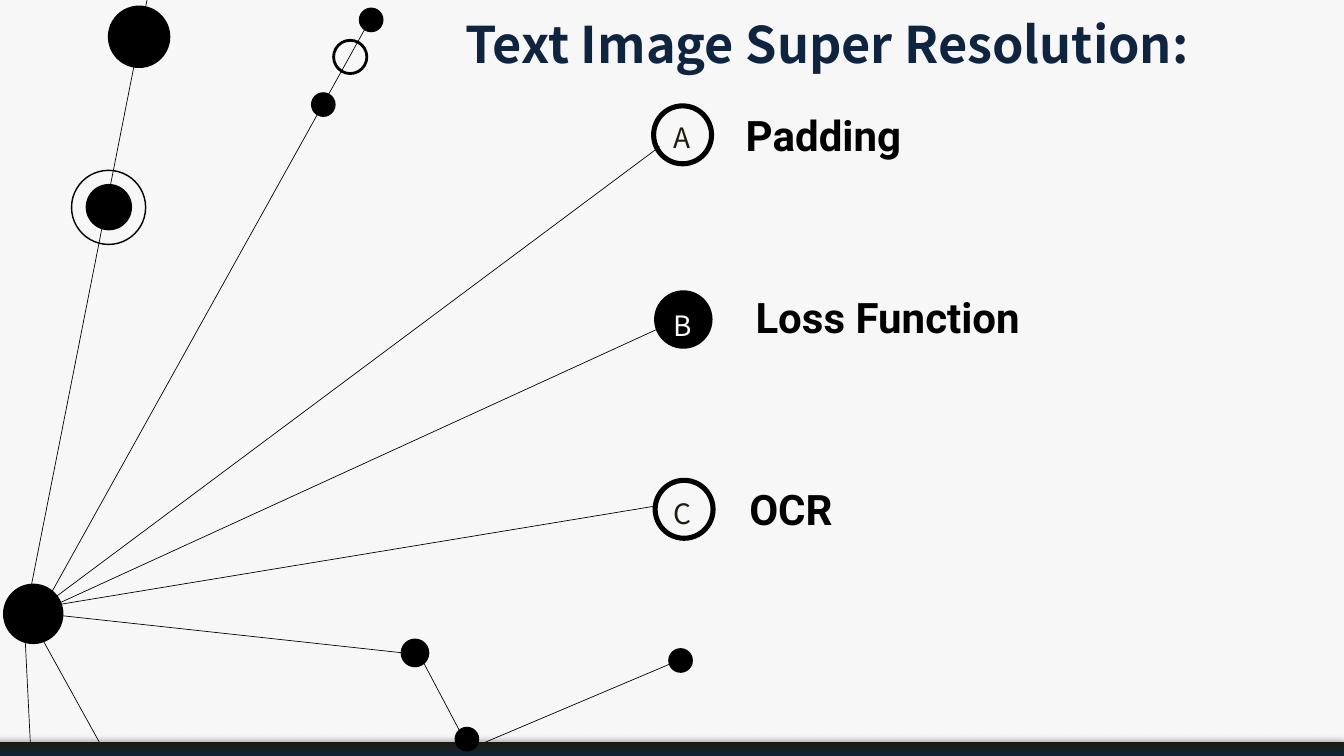
from dataclasses import dataclass
from typing import Optional

from lxml.etree import SubElement
from pptx import Presentation
from pptx.dml.color import RGBColor
from pptx.enum.shapes import MSO_CONNECTOR, MSO_SHAPE
from pptx.enum.text import MSO_ANCHOR, MSO_AUTO_SIZE, PP_ALIGN
from pptx.oxml import parse_xml
from pptx.oxml.ns import nsdecls, qn
from pptx.util import Pt

EMU_PER_PX = 9144


@dataclass(frozen=True)
class Theme:
    paper: str = "F7F7F7"
    ink: str = "000000"
    navy: str = "0F253F"
    charcoal: str = "1E1C11"
    white: str = "FFFFFF"
    title_font: str = "Noto Sans CJK SC"
    label_font: str = "Roboto"
    title_size: int = 72
    label_size: int = 60
    letter_size: int = 40
    thread: float = 1
    marker_ring: float = 7.25


@dataclass(frozen=True)
class Node:
    left: int
    top: int
    size: int
    ring: Optional[float] = None


@dataclass(frozen=True)
class Thread:
    x1: int
    y1: int
    x2: int
    y2: int


@dataclass(frozen=True)
class Topic:
    letter: str
    label: str
    marker: Node
    letter_left: int
    letter_top: int
    label_left: int
    label_top: int
    label_width: int


THEME = Theme()

THREADS = [
    Thread(842, 1300, 53, 1214),
    Thread(1309, 291, 111, 1184),
    Thread(1307, 652, 49, 1228),
    Thread(1301, 1004, 120, 1199),
    Thread(305, -67, 55, 1198),
    Thread(745, 20, 67, 1239),
    Thread(820, 1276, 986, 1590),
    Thread(955, 1476, 1333, 1316),
    Thread(50, 1269, 61, 1490),
    Thread(79, 1259, 298, 1655),
]

NODES = [
    Node(6, 1158, 120),
    Node(795, 1267, 57),
    Node(712, 15, 49),
    Node(662, 80, 66, 4),
    Node(617, 183, 49),
    Node(170, 365, 92),
    Node(142, 338, 147, 2),
    Node(214, 11, 124),
    Node(902, 1442, 49),
    Node(1326, 1286, 49),
]

TOPICS = [
    Topic("A", "Padding", Node(1297, 210, 115, THEME.marker_ring),
          1321, 217, 1464, 212, 340),
    Topic("B", "Loss Function", Node(1298, 576, 116),
          1323, 590, 1471, 574, 581),
    Topic("C", "OCR", Node(1300, 953, 115, THEME.marker_ring),
          1321, 964, 1471, 955, 197),
]


def px(length: int) -> int:
    return length * EMU_PER_PX


def rgb(color: str) -> RGBColor:
    return RGBColor.from_string(color)


def apply(target, values: dict) -> None:
    for name, value in values.items():
        setattr(target, name, value)


def draw_thread(page, thread: Thread) -> None:
    line = page.shapes.add_connector(
        MSO_CONNECTOR.STRAIGHT,
        px(thread.x1), px(thread.y1), px(thread.x2), px(thread.y2))
    line.line.color.rgb = rgb(THEME.ink)
    line.line.width = Pt(THEME.thread)
    SubElement(line._element.spPr, qn("a:effectLst"))


def draw_node(page, node: Node) -> None:
    circle = page.shapes.add_shape(
        MSO_SHAPE.OVAL, px(node.left), px(node.top), px(node.size), px(node.size))
    circle.shadow.inherit = False
    if node.ring:
        circle.fill.background()
        circle.line.color.rgb = rgb(THEME.ink)
        circle.line.width = Pt(node.ring)
    else:
        circle.fill.solid()
        circle.fill.fore_color.rgb = rgb(THEME.ink)
        circle.line.fill.background()


def draw_footer_bar(page) -> None:
    bar = page.shapes.add_shape(
        MSO_SHAPE.RECTANGLE, px(-15), px(1473), px(2682), px(31))
    bar.line.fill.background()
    bar.fill.gradient()
    bar.fill.gradient_angle = 270
    for stop, color in zip(bar.fill.gradient_stops, (THEME.charcoal, THEME.navy)):
        stop.color.rgb = rgb(color)
    bar._element.spPr.append(parse_xml(
        f'<a:effectLst {nsdecls("a")}>'
        f'<a:outerShdw blurRad="{Pt(13)}" dist="{Pt(2)}" dir="5400000" rotWithShape="0">'
        f'<a:srgbClr val="{THEME.ink}"><a:alpha val="75000"/></a:srgbClr>'
        '</a:outerShdw></a:effectLst>'))


def write(box, text: str, frame_values: dict, para_values: dict,
          font_values: dict, color: str) -> None:
    frame = box.text_frame
    margins = dict.fromkeys(
        ("margin_left", "margin_top", "margin_right", "margin_bottom"), px(5))
    apply(frame, {"auto_size": MSO_AUTO_SIZE.SHAPE_TO_FIT_TEXT,
                  "vertical_anchor": MSO_ANCHOR.MIDDLE, **margins, **frame_values})
    para = frame.paragraphs[0]
    apply(para, para_values)
    span = para.add_run()
    span.text = text
    apply(span.font, font_values)
    span.font.color.rgb = rgb(color)


def draw_title(page, text: str) -> None:
    title = page.shapes.title
    apply(title, {"left": px(919), "top": px(-30),
                  "width": px(1502), "height": px(171)})
    write(title, text, {"word_wrap": True},
          {"alignment": PP_ALIGN.JUSTIFY, "line_spacing": 1.5},
          {"name": THEME.title_font, "size": Pt(THEME.title_size), "bold": True},
          THEME.navy)


def draw_topic(page, topic: Topic) -> None:
    draw_node(page, topic.marker)
    letter = page.shapes.add_textbox(
        px(topic.letter_left), px(topic.letter_top), px(65), px(77))
    write(letter, topic.letter, {"word_wrap": True},
          {"alignment": PP_ALIGN.CENTER, "line_spacing": 1.5},
          {"name": THEME.title_font, "size": Pt(THEME.letter_size)},
          THEME.charcoal if topic.marker.ring else THEME.white)
    label = page.shapes.add_textbox(
        px(topic.label_left), px(topic.label_top), px(topic.label_width), px(110))
    write(label, topic.label, {"word_wrap": False},
          {"alignment": PP_ALIGN.CENTER},
          {"name": THEME.label_font, "size": Pt(THEME.label_size), "bold": True},
          THEME.ink)


def main() -> None:
    deck = Presentation()
    apply(deck, {"slide_width": px(2667), "slide_height": px(1500)})
    page = deck.slides.add_slide(deck.slide_layouts[5])
    page.background.fill.solid()
    page.background.fill.fore_color.rgb = rgb(THEME.paper)
    draw_title(page, "Text Image Super Resolution:")
    for thread in THREADS:
        draw_thread(page, thread)
    draw_footer_bar(page)
    for node in NODES:
        draw_node(page, node)
    for topic in TOPICS:
        draw_topic(page, topic)
    deck.save("out.pptx")


if __name__ == "__main__":
    main()
